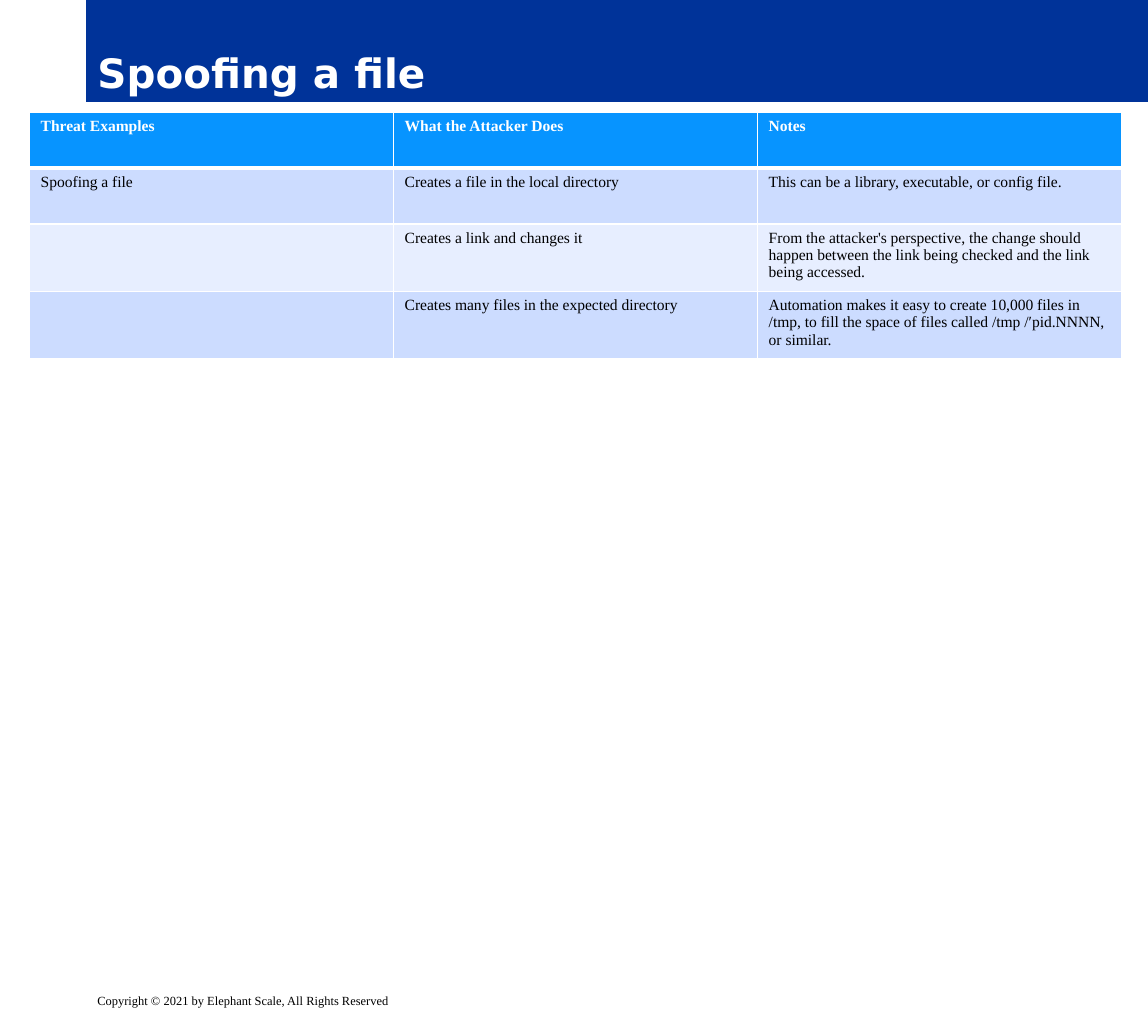
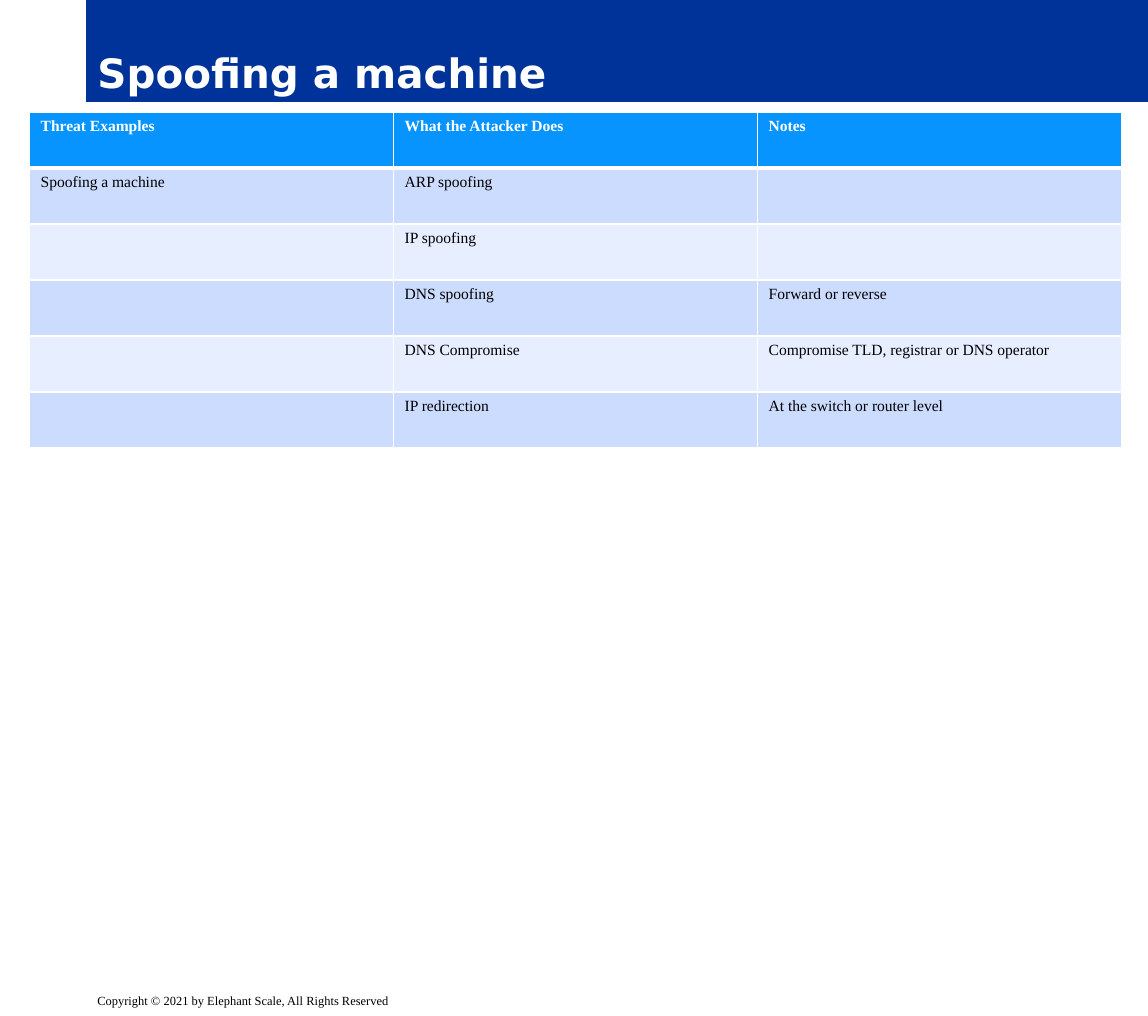
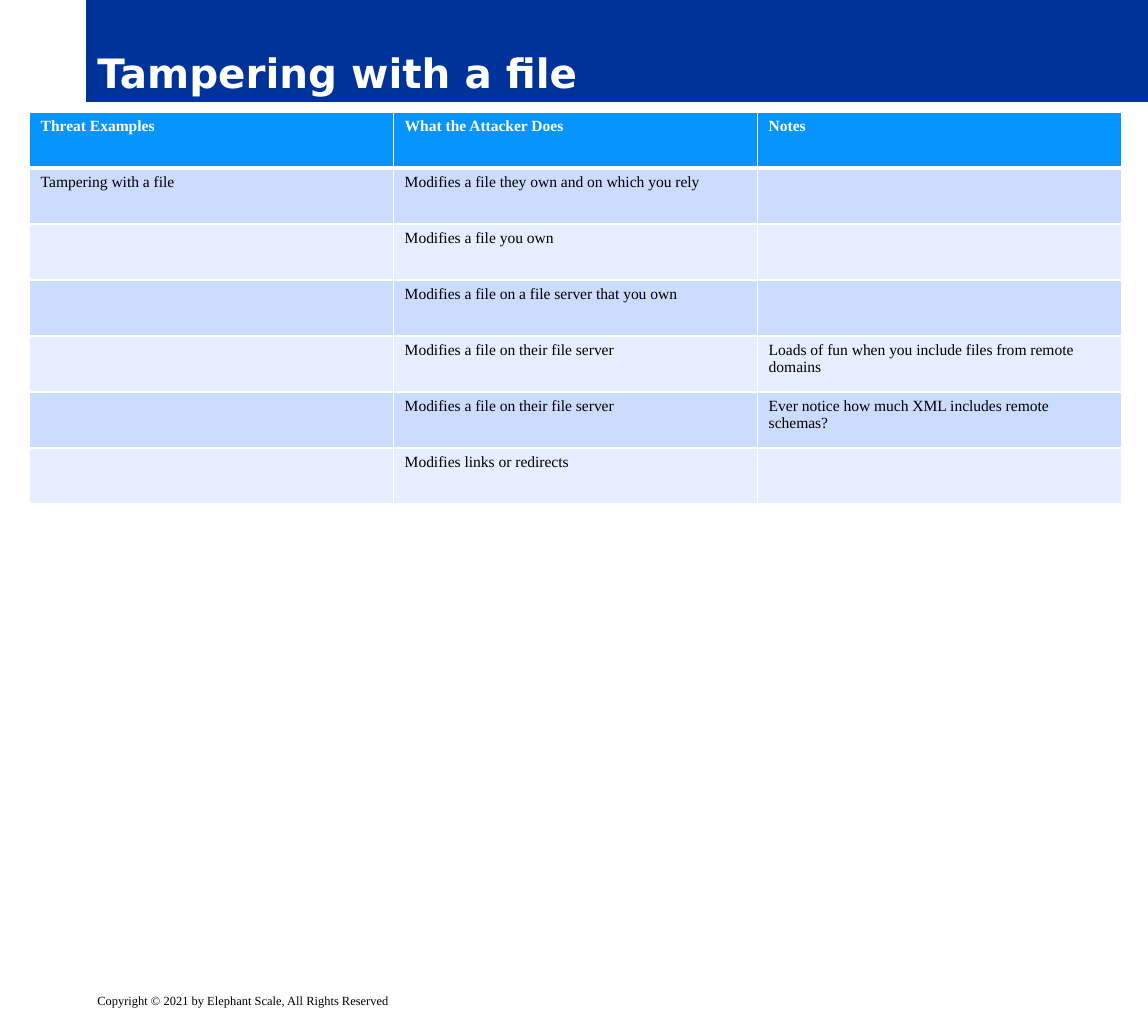
from dataclasses import dataclass

from lxml import etree
from pptx import Presentation
from pptx.dml.color import RGBColor
from pptx.enum.text import MSO_ANCHOR, MSO_AUTO_SIZE, PP_ALIGN
from pptx.oxml.ns import qn
from pptx.util import Pt

LEFT = PP_ALIGN.LEFT
TOP = MSO_ANCHOR.TOP
BOTTOM = MSO_ANCHOR.BOTTOM
NO_AUTOFIT = MSO_AUTO_SIZE.NONE
TITLE_ONLY = 5

PAGE_WIDTH, PAGE_HEIGHT = 738, 653
BAND_LEFT, BAND_HEIGHT = 55.44, 65.5
BAND_WIDTH = PAGE_WIDTH - BAND_LEFT
FOOTER_TOP, FOOTER_HEIGHT = 635, 18
TABLE_LEFT, TABLE_TOP = 19, 72
COLUMN_WIDTH, ROW_HEIGHT = 234, 36
THIN, THICK = 1, 3

FOOTER = "Copyright © 2021 by Elephant Scale, All Rights Reserved"
HEADINGS = ("Threat Examples", "What the Attacker Does", "Notes")


@dataclass(frozen=True)
class Theme:
    band: str = "003399"
    header: str = "0794FF"
    odd_row: str = "CCDCFF"
    even_row: str = "E7EEFF"
    white: str = "FFFFFF"
    black: str = "000000"
    title_font: str = "DejaVu Sans"
    body_font: str = "Times New Roman"
    title_size: int = 26
    table_size: int = 10
    footer_size: int = 8


class DeckBuilder:
    def __init__(self, theme):
        self.theme = theme
        self.deck = Presentation()
        self.deck.slide_width = Pt(PAGE_WIDTH)
        self.deck.slide_height = Pt(PAGE_HEIGHT)
        self.page = None

    def add_page(self, title, rows):
        self.page = self.deck.slides.add_slide(self.deck.slide_layouts[TITLE_ONLY])
        self.add_title(title)
        self.add_footer()
        self.add_threat_table(rows)

    def paint(self, target, color):
        target.fill.solid()
        target.fill.fore_color.rgb = RGBColor.from_string(color)

    def add_text(self, frame, text, font, size, color, bold=False):
        para = frame.paragraphs[0]
        para.alignment = LEFT
        span = para.add_run()
        span.text = text
        span.font.name = font
        span.font.size = Pt(size)
        span.font.bold = bold
        span.font.color.rgb = RGBColor.from_string(color)

    def add_title(self, text):
        theme = self.theme
        title = self.page.shapes.title
        title.left, title.top = Pt(BAND_LEFT), Pt(0)
        title.width, title.height = Pt(BAND_WIDTH), Pt(BAND_HEIGHT)
        self.paint(title, theme.band)
        frame = title.text_frame
        frame.auto_size = NO_AUTOFIT
        frame.word_wrap = True
        frame.vertical_anchor = BOTTOM
        self.add_text(frame, text, theme.title_font, theme.title_size, theme.white, True)

    def add_footer(self):
        theme = self.theme
        box = self.page.shapes.add_textbox(
            Pt(BAND_LEFT), Pt(FOOTER_TOP), Pt(BAND_WIDTH), Pt(FOOTER_HEIGHT)
        )
        frame = box.text_frame
        frame.word_wrap = True
        self.add_text(frame, FOOTER, theme.body_font, theme.footer_size, theme.black)

    def add_threat_table(self, rows):
        theme = self.theme
        lines = [HEADINGS, *rows]
        table = self.page.shapes.add_table(
            len(lines), len(HEADINGS), Pt(TABLE_LEFT), Pt(TABLE_TOP),
            Pt(COLUMN_WIDTH * len(HEADINGS)), Pt(ROW_HEIGHT * len(lines)),
        ).table
        for row_index, line in enumerate(lines):
            is_header = row_index == 0
            if is_header:
                row_color = theme.header
            else:
                row_color = theme.odd_row if row_index % 2 else theme.even_row
            text_color = theme.white if is_header else theme.black
            for column_index, text in enumerate(line):
                cell = table.cell(row_index, column_index)
                cell.vertical_anchor = TOP
                self.add_borders(
                    cell,
                    top=THICK if row_index == 1 else THIN,
                    bottom=THICK if is_header else THIN,
                )
                self.paint(cell, row_color)
                if text:
                    self.add_text(cell.text_frame, text, theme.body_font,
                                  theme.table_size, text_color, is_header)

    def add_borders(self, cell, top, bottom):
        properties = cell._tc.get_or_add_tcPr()
        widths = {"a:lnL": THIN, "a:lnR": THIN, "a:lnT": top, "a:lnB": bottom}
        for tag, width in widths.items():
            border = etree.SubElement(properties, qn(tag), w=str(Pt(width)))
            solid = etree.SubElement(border, qn("a:solidFill"))
            etree.SubElement(solid, qn("a:srgbClr"), val=self.theme.white)


PAGES = {
    "Spoofing a file": [
        ("Spoofing a file", "Creates a file in the local directory",
         "This can be a library, executable, or config file."),
        ("", "Creates a link and changes it",
         "From the attacker's perspective, the change should happen between "
         "the link being checked and the link being accessed."),
        ("", "Creates many files in the expected directory",
         "Automation makes it easy to create 10,000 files in /tmp, to fill "
         "the space of files called /tmp /′pid.NNNN, or similar."),
    ],
    "Spoofing a machine": [
        ("Spoofing a machine", "ARP spoofing", ""),
        ("", "IP spoofing", ""),
        ("", "DNS spoofing", "Forward or reverse"),
        ("", "DNS Compromise", "Compromise TLD, registrar or DNS operator"),
        ("", "IP redirection", "At the switch or router level"),
    ],
    "Tampering with a file": [
        ("Tampering with a file", "Modifies a file they own and on which you rely", ""),
        ("", "Modifies a file you own", ""),
        ("", "Modifies a file on a file server that you own", ""),
        ("", "Modifies a file on their file server",
         "Loads of fun when you include files from remote domains"),
        ("", "Modifies a file on their file server",
         "Ever notice how much XML includes remote schemas?"),
        ("", "Modifies links or redirects", ""),
    ],
}


def main():
    builder = DeckBuilder(Theme())
    for title, rows in PAGES.items():
        builder.add_page(title, rows)
    builder.deck.save("out.pptx")


if __name__ == "__main__":
    main()
